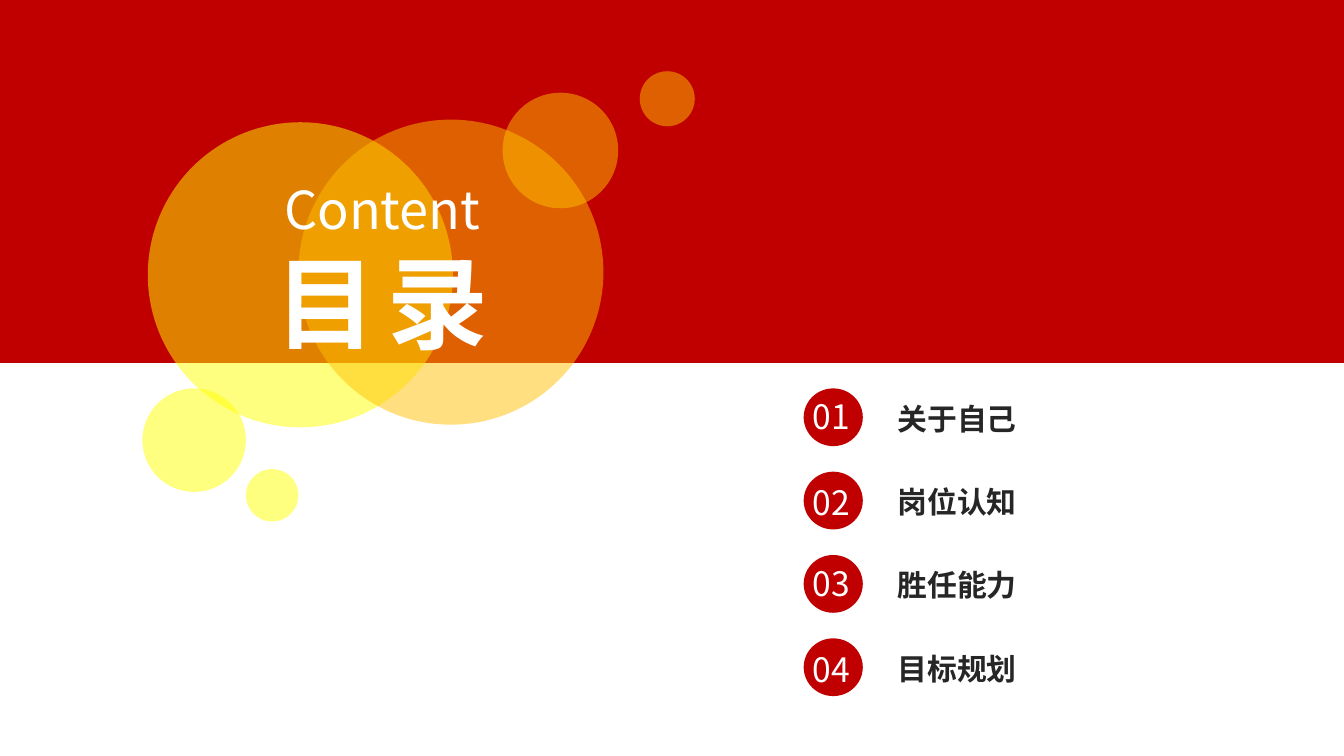
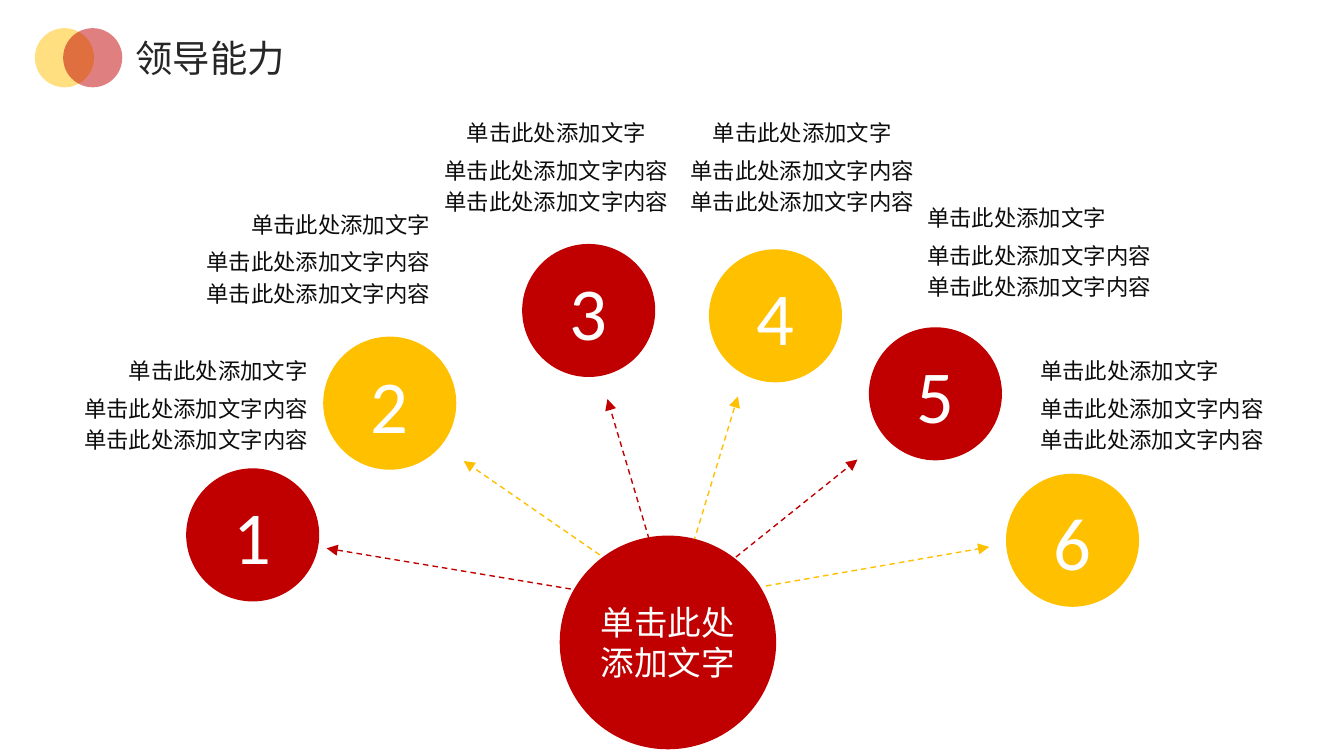
import dataclasses
import typing

import pptx
import pptx.dml.color
import pptx.enum.dml
import pptx.enum.shapes
import pptx.enum.text
import pptx.oxml
import pptx.oxml.ns
import pptx.util

Inches = pptx.util.Inches
Pt = pptx.util.Pt
Align = pptx.enum.text.PP_ALIGN
Shape = pptx.enum.shapes.MSO_SHAPE
qn = pptx.oxml.ns.qn

RED, GOLD, YELLOW, WHITE = "C00000", "FFC000", "FFFF00", "FFFFFF"
DARK, BODY = "262626", "0D0D0D"
SANS, LATIN = "Noto Sans CJK SC", "Calibri"

# Share of a text box's width lying left of its anchor
ANCHOR_SHARE = {Align.LEFT: 0, Align.CENTER: 0.5, Align.RIGHT: 1}


@dataclasses.dataclass(frozen=True)
class Bubble:
    left: float
    top: float
    size: float
    color: str


@dataclasses.dataclass(frozen=True)
class Topic:
    """A numbered circle, its text block and the arrow pointing to it."""
    circle: tuple[float, float]
    text_x: float
    text_top: float
    align: typing.Any
    start: tuple[float, float]
    end: tuple[float, float]


CONTENT_BUBBLES = [
    Bubble(1.1, 0.91, 2.27, YELLOW),
    Bubble(2.22, 0.89, 2.27, GOLD),
    Bubble(3.74, 0.69, 0.86, GOLD),
    Bubble(4.76, 0.53, 0.41, GOLD),
    Bubble(1.06, 2.89, 0.77, YELLOW),
    Bubble(1.83, 3.49, 0.39, YELLOW),
]
TITLE_BUBBLES = [Bubble(0.26, 0.21, 0.44, GOLD), Bubble(0.47, 0.21, 0.44, RED)]
CHAPTERS = ["关于自己", "岗位认知", "胜任能力", "目标规划"]
TOPICS = [
    Topic((1.39, 3.49), 2.39, 2.61, Align.RIGHT, (4.53, 4.43), (2.43, 4.08)),
    Topic((2.41, 2.51), 3.3, 1.52, Align.RIGHT, (4.58, 4.21), (3.45, 3.43)),
    Topic((3.89, 1.82), 4.14, 0.84, Align.CENTER, (4.85, 4.08), (4.52, 2.97)),
    Topic((5.28, 1.86), 5.97, 0.84, Align.CENTER, (5.12, 4.17), (5.49, 2.95)),
    Topic((6.47, 2.44), 6.8, 1.47, Align.LEFT, (5.42, 4.19), (6.38, 3.42)),
    Topic((7.49, 3.53), 7.64, 2.61, Align.LEFT, (5.7, 4.36), (7.36, 4.07)),
]


def rgb(color: str) -> pptx.dml.color.RGBColor:
    return pptx.dml.color.RGBColor.from_string(color)


def write(frame, text: str, *, size: float, color: str, font: str = SANS,
          east_asian: str = "", bold: bool = False, align=Align.LEFT,
          spacing: float = 0, gap: float = 0) -> None:
    """Fill a frame, one paragraph a line; gap is the space between them."""
    for index, line in enumerate(text.split("\n")):
        para = frame.paragraphs[0] if index == 0 else frame.add_paragraph()
        para.alignment = align
        if index and gap:
            para.space_before = Pt(gap)
        span = para.add_run()
        span.text = line
        span.font.size = Pt(size)
        span.font.bold = bold
        span.font.name = font
        span.font.color.rgb = rgb(color)
        properties = span.font._element
        if spacing:
            properties.set("spc", str(round(spacing * 100)))
        typeface = pptx.oxml.parse_xml(
            '<a:ea xmlns:a="http://schemas.openxmlformats.org/drawingml/2006/main"/>')
        typeface.set("typeface", east_asian or font)
        properties.find(qn("a:latin")).addnext(typeface)


def add_text(page, text: str, left: float, top: float, width: float,
             height: float, *, wrap: bool = True, **style) -> None:
    box = page.shapes.add_textbox(
        Inches(left), Inches(top), Inches(width), Inches(height))
    frame = box.text_frame
    frame.word_wrap = wrap
    frame.auto_size = pptx.enum.text.MSO_AUTO_SIZE.SHAPE_TO_FIT_TEXT
    write(frame, text, **style)


def add_filled(page, kind, left: float, top: float, width: float,
               height: float, color: str, *, alpha: int = 100,
               outlined: bool = False):
    shape = page.shapes.add_shape(
        kind, Inches(left), Inches(top), Inches(width), Inches(height))
    shape.shadow.inherit = False
    shape.fill.solid()
    shape.fill.fore_color.rgb = rgb(color)
    if alpha < 100:
        tint = shape._element.spPr.find(qn("a:solidFill")).find(qn("a:srgbClr"))
        tint.append(tint.makeelement(qn("a:alpha"), {"val": str(alpha * 1000)}))
    if outlined:
        shape.line.color.rgb = rgb(color)
        shape.line.width = Pt(0.75)
    else:
        shape.line.fill.background()
    return shape


def add_bubbles(page, bubbles: list[Bubble]) -> None:
    for bubble in bubbles:
        add_filled(page, Shape.OVAL, bubble.left, bubble.top, bubble.size,
                   bubble.size, bubble.color, alpha=50)


def add_labelled_circle(page, text: str, left: float, top: float, width: float,
                        height: float, color: str, size: float) -> None:
    circle = add_filled(page, Shape.OVAL, left, top, width, height, color,
                        outlined=True)
    frame = circle.text_frame
    frame.word_wrap = False
    frame.vertical_anchor = pptx.enum.text.MSO_ANCHOR.MIDDLE
    write(frame, text, size=size, color=WHITE, font=LATIN, align=Align.CENTER)


def add_arrow(page, start: tuple[float, float], end: tuple[float, float],
              color: str) -> None:
    arrow = page.shapes.add_connector(
        pptx.enum.shapes.MSO_CONNECTOR.STRAIGHT,
        *(Inches(value) for value in start + end))
    arrow.line.color.rgb = rgb(color)
    arrow.line.width = Pt(0.75)
    arrow.line.dash_style = pptx.enum.dml.MSO_LINE.DASH
    outline = arrow.line._get_or_add_ln()
    outline.append(outline.makeelement(qn("a:tailEnd"), {"type": "triangle"}))
    properties = arrow._element.spPr
    properties.append(properties.makeelement(qn("a:effectLst"), {}))


def topic_color(number: int) -> str:
    return RED if number % 2 else GOLD


def add_topic(page, number: int, topic: Topic) -> None:
    add_labelled_circle(page, str(number), *topic.circle, 0.98, 0.98,
                        topic_color(number), 40)
    share = ANCHOR_SHARE[topic.align]
    blocks = [
        ("单击此处添加文字内容\n单击此处添加文字内容", 2.17, 0.28, 0.55, SANS),
        ("单击此处添加文字", 1.66, 0, 0.3, LATIN),
    ]
    for text, width, offset, height, font in blocks:
        add_text(page, text, topic.text_x - share * width,
                 topic.text_top + offset, width, height, size=12, color=BODY,
                 font=font, east_asian=LATIN, align=topic.align, gap=2.4)


def build_contents(page) -> None:
    add_filled(page, Shape.RECTANGLE, -0.12, 0, 10.12, 2.7, RED)
    add_bubbles(page, CONTENT_BUBBLES)
    add_text(page, "目录", 1.9, 1.74, 1.88, 1.01, wrap=False, size=54,
             color=WHITE, bold=True, align=Align.CENTER, spacing=6)
    add_text(page, "Content", 1.08, 1.27, 3.53, 0.57, size=28, color=WHITE,
             align=Align.CENTER)
    for index, chapter in enumerate(CHAPTERS):
        top = 2.89 + 0.62 * index
        add_filled(page, Shape.OVAL, 5.98, top, 0.44, 0.43, RED)
        add_text(page, f"{index + 1:02}", 5.95, top + 0.01 + 0.02 * (index % 2),
                 0.5, 0.4, wrap=False, size=18, color=WHITE)
        add_text(page, chapter, 6.58, top + 0.04, 1.1, 0.37, wrap=False,
                 size=16, color=DARK, bold=True)


def build_leadership(page) -> None:
    add_text(page, "领导能力", 0.91, 0.21, 1.32, 0.44, wrap=False, size=20,
             color=DARK)
    for number, topic in enumerate(TOPICS, 1):
        add_arrow(page, topic.start, topic.end, topic_color(number))
    for number, topic in enumerate(TOPICS, 1):
        add_topic(page, number, topic)
    add_labelled_circle(page, "单击此处\n添加文字", 4.17, 3.99, 1.6, 1.58, RED, 18)
    add_bubbles(page, TITLE_BUBBLES)


def main() -> None:
    deck = pptx.Presentation()
    deck.slide_width = Inches(10)
    deck.slide_height = deck.slide_width * 9 // 16
    for build in (build_contents, build_leadership):
        build(deck.slides.add_slide(deck.slide_layouts[6]))
    deck.save("out.pptx")


if __name__ == "__main__":
    main()
